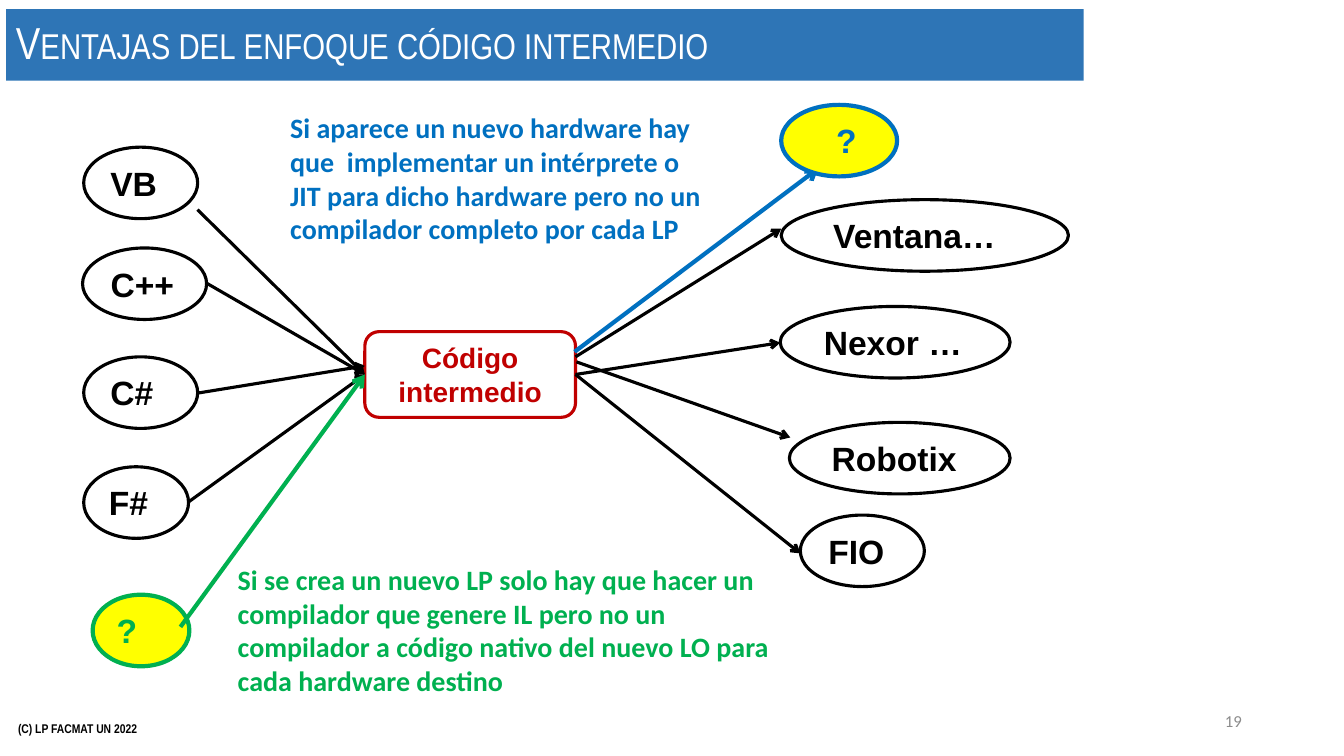
from dataclasses import dataclass

from lxml import etree
from pptx import Presentation
from pptx.dml.color import RGBColor
from pptx.enum import shapes, text
from pptx.oxml import ns
from pptx.util import Pt


@dataclass(frozen=True)
class Theme:
    black: str = "000000"
    white: str = "FFFFFF"
    gray: str = "8C8C8C"
    banner: str = "2E75B6"
    red: str = "C00000"
    green: str = "00B050"
    blue: str = "0070C0"
    yellow: str = "FFFF00"
    heading_font: str = "Arial Narrow"
    label_font: str = "Arial"
    body_font: str = "Calibri"
    title_size: int = 32
    label_size: int = 24
    body_size: int = 20
    number_size: int = 12
    footer_size: int = 9
    thin: float = 2.25
    thick: float = 3


LEFT, RIGHT = 1, 3
MIDDLE = text.MSO_ANCHOR.MIDDLE
TOP = text.MSO_ANCHOR.TOP
ALIGN = text.PP_ALIGN
SHAPE = shapes.MSO_SHAPE


class Canvas:
    def __init__(self, slide, theme):
        self.slide = slide
        self.theme = theme

    def set_words(self, shape, words, font, size, color, bold=True,
                  align=ALIGN.LEFT, anchor=TOP):
        frame = shape.text_frame
        frame.word_wrap = True
        frame.vertical_anchor = anchor
        frame.text = words
        for paragraph in frame.paragraphs:
            paragraph.alignment = align
            for run in paragraph.runs:
                run.font.name = font
                run.font.size = Pt(size)
                run.font.bold = bold
                run.font.color.rgb = RGBColor.from_string(color)

    def textbox(self, box, words, font, size, color, **options):
        shape = self.slide.shapes.add_textbox(*map(Pt, box))
        self.set_words(shape, words, font, size, color, **options)

    def shape(self, kind, box, fill, line=None, width=0, opacity=100):
        shape = self.slide.shapes.add_shape(kind, *map(Pt, box))
        shape.shadow.inherit = False
        shape.fill.solid()
        shape.fill.fore_color.rgb = RGBColor.from_string(fill)
        if opacity < 100:
            color = shape._element.spPr.find(".//" + ns.qn("a:srgbClr"))
            etree.SubElement(color, ns.qn("a:alpha"), val=str(opacity * 1000))
        if line:
            shape.line.color.rgb = RGBColor.from_string(line)
            shape.line.width = Pt(width)
        else:
            shape.line.fill.background()
        return shape

    def title(self, box, words):
        theme = self.theme
        shape = self.shape(SHAPE.RECTANGLE, box, theme.banner)
        self.set_words(shape, words, theme.heading_font, theme.title_size,
                       theme.white, bold=False, anchor=MIDDLE)
        paragraph = shape.text_frame.paragraphs[0]
        paragraph.line_spacing = 0.9
        paragraph.runs[0]._r.get_or_add_rPr().set("cap", "small")

    def hub(self, box, words):
        theme = self.theme
        shape = self.shape(SHAPE.ROUNDED_RECTANGLE, box, theme.white,
                           theme.red, theme.thin, opacity=20)
        self.set_words(shape, words, theme.label_font, theme.body_size,
                       theme.red, align=ALIGN.CENTER)
        return shape

    def oval(self, box, words, accent=None, indent=0):
        theme = self.theme
        color = accent or theme.black
        shape = self.shape(SHAPE.OVAL, box,
                           theme.yellow if accent else theme.white, color,
                           theme.thick if accent else theme.thin,
                           opacity=100 if accent else 20)
        self.set_words(shape, words, theme.label_font, theme.label_size, color)
        shape.text_frame.margin_left = Pt(7.2 + indent)

    def arrow(self, start, end, accent=None, begin=None, finish=None):
        theme = self.theme
        connector = self.slide.shapes.add_connector(
            shapes.MSO_CONNECTOR.STRAIGHT, *map(Pt, start + end))
        connector.line.color.rgb = RGBColor.from_string(accent or theme.black)
        connector.line.width = Pt(theme.thick if accent else theme.thin)
        properties = connector._element.spPr
        etree.SubElement(properties.find(ns.qn("a:ln")),
                         ns.qn("a:tailEnd"), type="arrow")
        etree.SubElement(properties, ns.qn("a:effectLst"))
        if begin:
            connector.begin_connect(begin, RIGHT)
        if finish:
            connector.end_connect(finish, LEFT)


def main():
    theme = Theme()
    presentation = Presentation()
    presentation.slide_width, presentation.slide_height = Pt(960), Pt(540)
    slide = presentation.slides.add_slide(presentation.slide_layouts[6])
    canvas = Canvas(slide, theme)

    canvas.textbox((5.8, 506.2, 324, 28.8), "(C) LP FACMAT UN 2022",
                   theme.heading_font, theme.footer_size, theme.black,
                   anchor=MIDDLE)
    canvas.textbox((678.2, 500.4, 216, 28.8), "19", theme.body_font,
                   theme.number_size, theme.gray, bold=False,
                   align=ALIGN.RIGHT, anchor=MIDDLE)
    canvas.title((4.3, 6.5, 769.7, 51.1),
                 "Ventajas del enfoque código intermedio")
    hub = canvas.hub((260.6, 236.9, 150.5, 61.2), "Código\nintermedio")

    oval_height = 51.1
    hub_left, hub_right = (260.6, 267.5), (411.1, 267.5)

    languages = [
        ("VB", 59.8, 105.1, 81.4, (141.1, 149.8), hub_left, None),
        ("C++", 59, 177.1, 88.6, (147.6, 202.3), hub_left, None),
        ("C#", 59.8, 254.9, 81.4, (141.1, 280.8), (260.6, 261.4), None),
        ("F#", 59.8, 333.4, 74.9, (134.6, 358.6), hub_left, None),
        ("?", 66.2, 424.8, 69.1, (128.9, 447.8), hub_left, theme.green),
    ]
    for name, left, top, width, start, end, accent in languages:
        canvas.oval((left, top, width, oval_height), name, accent)
        canvas.arrow(start, end, accent,
                     finish=hub if end == hub_left else None)

    platforms = [
        ("Ventana…", 558, 142.6, 205.2, (411.1, 254.9), (558, 163.4), None),
        ("Nexor …", 557.3, 218.9, 164.2, hub_right, (557.3, 244.8), None),
        ("Robotix", 563.8, 301.7, 157.7, (411.8, 258.5), (564.5, 312.5), None),
        ("FIO", 571.7, 367.9, 88.6, hub_right, (571.7, 395.3), None),
        ("?", 558, 74.9, 82.8, (410.4, 251.3), (584.6, 120.2), theme.blue),
    ]
    for name, left, top, width, start, end, accent in platforms:
        canvas.arrow(start, end, accent,
                     begin=hub if start == hub_right else None)
        canvas.oval((left, top, width, oval_height), name, accent,
                    indent=20 if accent else 0)

    remarks = [
        ((200.2, 75.6, 311.8, 104.4), theme.blue,
         "Si aparece un nuevo hardware hay que  implementar un intérprete o "
         "JIT para dicho hardware pero no un compilador completo por cada LP"),
        ((162.7, 398.2, 394.6, 104.4), theme.green,
         "Si se crea un nuevo LP solo hay que hacer un compilador que genere "
         "IL pero no un compilador a código nativo del nuevo LO para cada "
         "hardware destino"),
    ]
    for box, color, words in remarks:
        canvas.textbox(box, words, theme.body_font, theme.body_size, color)

    presentation.save("out.pptx")


if __name__ == "__main__":
    main()
